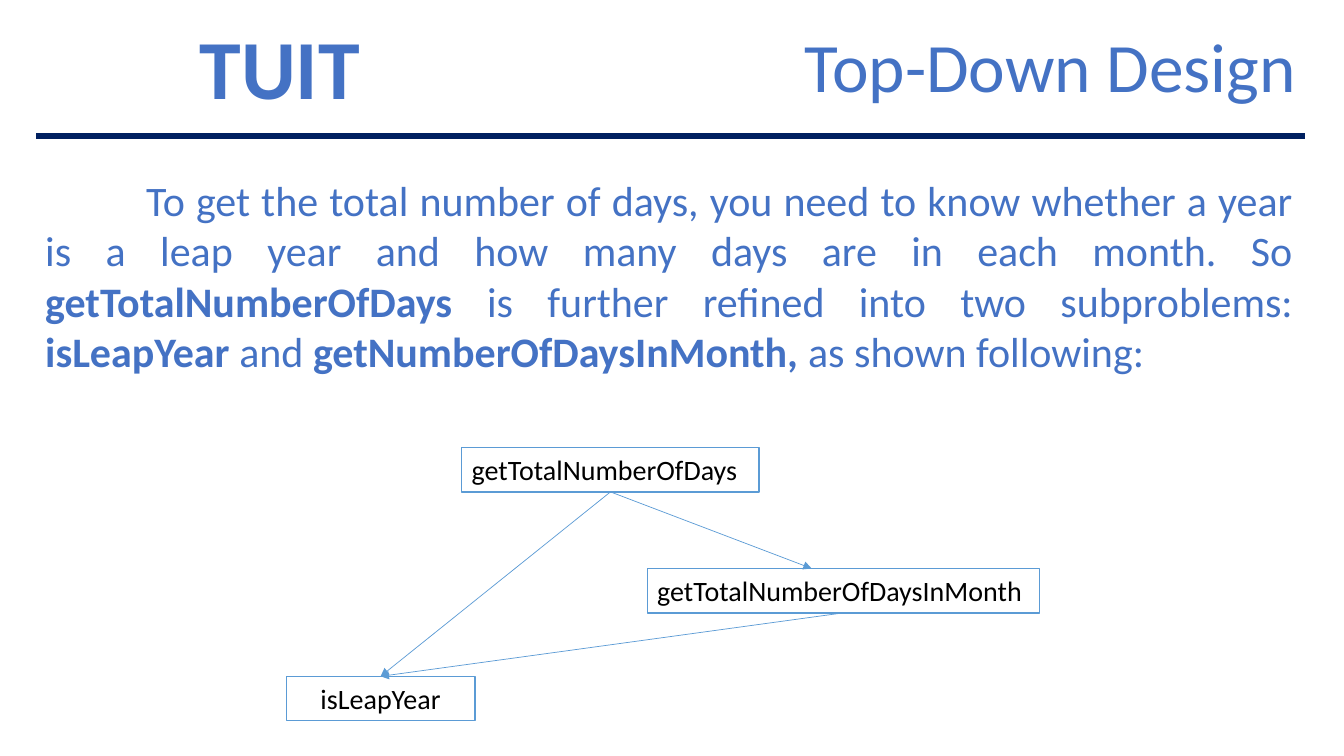
from lxml.etree import SubElement
from pptx import Presentation
from pptx.dml.color import RGBColor
from pptx.enum.shapes import MSO_CONNECTOR as Connector, MSO_SHAPE as Shape
from pptx.enum.text import MSO_ANCHOR as Anchor, MSO_AUTO_SIZE as AutoSize, PP_ALIGN as Align
from pptx.oxml.ns import qn
from pptx.util import Inches, Pt

WIDTH, HEIGHT = 13.33, 7.5
BLUE, NAVY, OUTLINE, BLACK, WHITE = "4472C4", "002060", "5B9BD5", "000000", "FFFFFF"
BOX_HEIGHT = 0.44
TOP, BOTTOM = 0, 2  # connection sites of a rectangle

EXPLANATION = [
    ("To get the total number of days, you need to know whether a year is a leap year "
     "and how many days are in each month. So ", False),
    ("getTotalNumberOfDays ", True),
    ("is further refined into two subproblems: ", False),
    ("isLeapYear ", True),
    ("and ", False),
    ("getNumberOfDaysInMonth, ", True),
    ("as shown following:", False),
]


def color(hex_code):
    return RGBColor.from_string(hex_code)


def place(shape, left, top, width, height):
    shape.left, shape.top = Inches(left), Inches(top)
    shape.width, shape.height = Inches(width), Inches(height)


def write(shape, runs, size, ink, align, anchor=Anchor.TOP, spacing=1.0):
    """Fill the shape with one paragraph of (text, bold) runs and return it."""
    frame = shape.text_frame
    frame.word_wrap = True
    frame.auto_size = AutoSize.NONE
    frame.vertical_anchor = anchor
    paragraph = frame.paragraphs[0]
    paragraph.alignment = align
    paragraph.line_spacing = spacing
    paragraph.space_before = Pt(0)
    paragraph.font.name, paragraph.font.size = "Calibri", Pt(size)
    paragraph.font.color.rgb = color(ink)
    for text, bold in runs:
        run = paragraph.add_run()
        run.text = text
        run.font.bold = bold
    return paragraph


def add_text(slide, area, runs, size, **style):
    box = slide.shapes.add_textbox(*map(Inches, area))
    return write(box, runs, size, BLUE, Align.JUSTIFY, **style)


def add_line(slide, start, end, ink, weight):
    line = slide.shapes.add_connector(Connector.STRAIGHT, *map(Inches, (*start, *end)))
    line.line.color.rgb = color(ink)
    line.line.width = Pt(weight)
    SubElement(line._element.spPr, qn("a:effectLst"))
    return line


def add_function_box(slide, name, left, top, width, align=Align.LEFT):
    box = slide.shapes.add_shape(Shape.RECTANGLE, *map(Inches, (left, top, width, BOX_HEIGHT)))
    box.shadow.inherit = False
    box.fill.solid()
    box.fill.fore_color.rgb = color(WHITE)
    box.line.color.rgb = color(OUTLINE)
    box.line.width = Pt(1)
    write(box, [(name, False)], 20, BLACK, align)
    return box


def add_call_arrow(slide, caller, callee):
    """Draw an arrow from the bottom of the caller to the top of the callee."""
    arrow = add_line(slide, (0, 0), (1, 1), OUTLINE, 0.5)
    arrow.begin_connect(caller, BOTTOM)
    arrow.end_connect(callee, TOP)
    SubElement(arrow.line._get_or_add_ln(), qn("a:tailEnd"), type="triangle")
    return arrow


def main():
    deck = Presentation()
    deck.slide_width, deck.slide_height = Inches(WIDTH), Inches(HEIGHT)
    slide = deck.slides.add_slide(deck.slide_layouts.get_by_name("Title Only"))

    heading = slide.shapes.title
    place(heading, 4.78, 0.33, 8.17, 0.75)
    write(heading, [("Top-Down Design", False)], 49.5, BLUE, Align.RIGHT, Anchor.BOTTOM, 0.7)
    add_text(slide, (1.88, 0.26, 1.93, 0.81), [("TUIT", True)], 60, spacing=0.85)
    add_line(slide, (0.36, 1.35), (12.94, 1.35), NAVY, 4.5)

    explanation = add_text(slide, (0.35, 1.68, 12.58, 2.21), EXPLANATION, 30)
    explanation._p.get_or_add_pPr().set("indent", str(Inches(1)))

    total_days = add_function_box(slide, "getTotalNumberOfDays", 4.58, 4.44, 2.95)
    month_days = add_function_box(slide, "getTotalNumberOfDaysInMonth", 6.42, 5.64, 3.89)
    leap_year = add_function_box(slide, "isLeapYear", 2.84, 6.71, 1.87, Align.CENTER)

    to_month = add_call_arrow(slide, total_days, month_days)
    to_month.end_x = Inches(8.05)
    for caller in (total_days, month_days):
        add_call_arrow(slide, caller, leap_year)

    deck.save("out.pptx")


if __name__ == "__main__":
    main()
